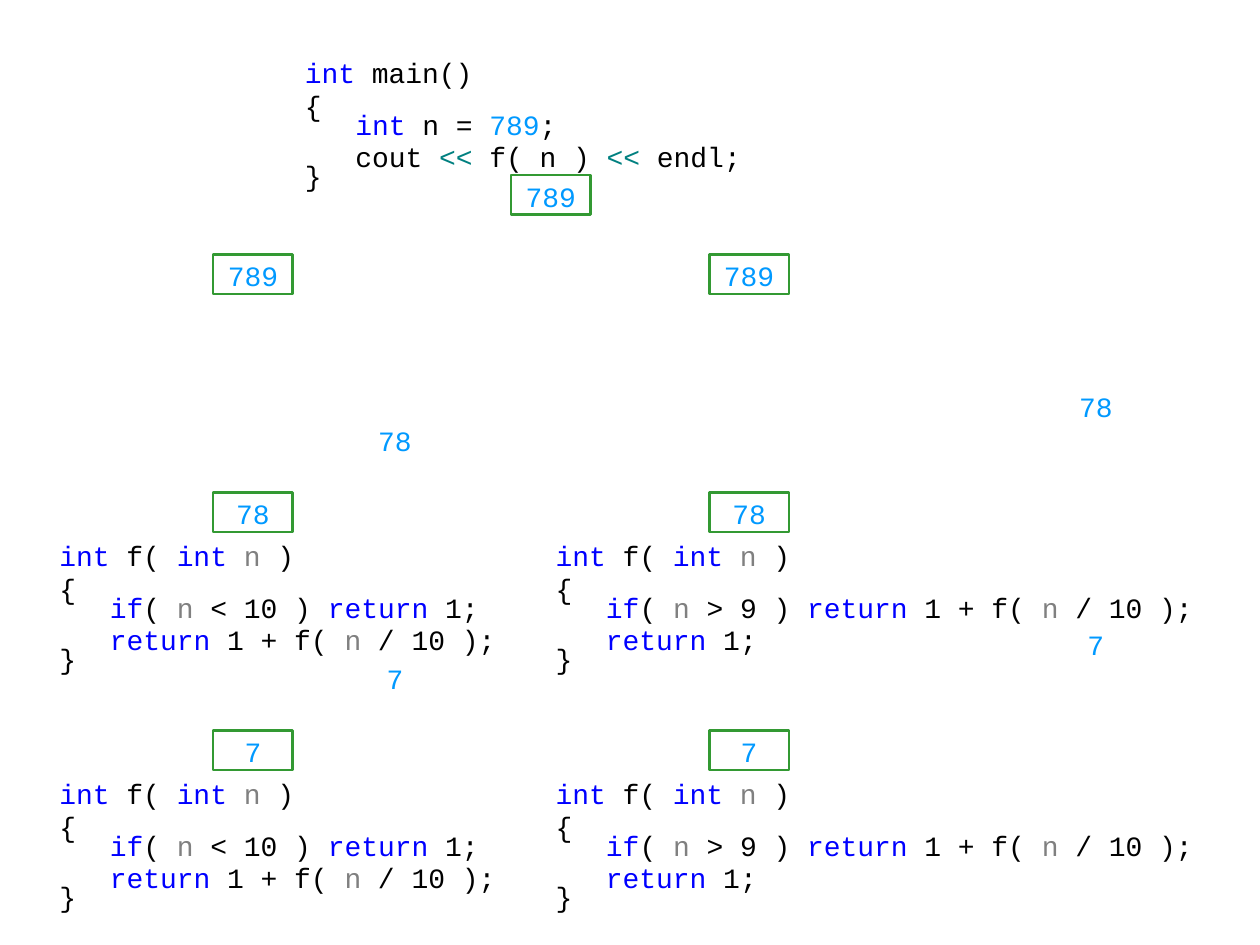
from lxml import etree
from pptx import Presentation
from pptx import util as u
from pptx.dml.color import RGBColor
from pptx.enum import shapes, text
from pptx.oxml import ns

COLORS = {"plain": "000000", "keyword": "0000FF", "number": "0099FF",
          "operator": "008080", "parameter": "808080",
          "frame": "339933", "blank": "FFFFFF"}
TOKENS = {"int": "keyword", "if": "keyword", "return": "keyword",
          "789": "number", "<<": "operator", "n": "parameter"}

MAIN = ["int| main()", "{", "int| n = |789|;",
        "cout |<<| f( n ) |<<| endl;", "}"]
SIGNATURE = ["int| f( |int |n| )", "{"]
BASE_FIRST = SIGNATURE + ["if|( |n| < 10 ) |return| 1;",
                          "return| 1 + f( |n| / 10 );", "}"]
STEP_FIRST = SIGNATURE + ["if|( |n| > 9 ) |return| 1 + f( |n| / 10 );",
                          "return| 1;", "}"]


class CodeSlide:
    font_name = "Courier New"
    font_size = u.Pt(16)
    code_indent = u.Pt(28.8)
    code_height = 79
    box_height = 22.5

    def __init__(self, slide):
        self.slide = slide

    def color(self, name):
        return RGBColor.from_string(COLORS[name])

    def set_font(self, paragraph):
        paragraph.font.name = self.font_name
        paragraph.font.size = self.font_size

    def set_insets(self, frame, insets):
        (frame.margin_left, frame.margin_top,
         frame.margin_right, frame.margin_bottom) = map(u.Pt, insets)

    def code(self, left, top, width, lines, insets=(3, 3.6, 3, 3.6)):
        listing = self.slide.shapes.add_textbox(
            u.Pt(left), u.Pt(top), u.Pt(width), u.Pt(self.code_height))
        frame = listing.text_frame
        frame.word_wrap = True
        self.set_insets(frame, insets)
        for number, line in enumerate(lines):
            paragraph = frame.paragraphs[0] if number == 0 else frame.add_paragraph()
            self.set_font(paragraph)
            if number in (2, 4):
                paragraph.line_spacing = 0.5
            if number in (2, 3):
                paragraph._p.get_or_add_pPr().set("marL", str(self.code_indent))
            for token in line.split("|"):
                run = paragraph.add_run()
                run.text = token
                run.font.color.rgb = self.color(TOKENS.get(token.strip(), "plain"))

    def value(self, left, top, number, width=45.5, line="frame",
              insets=(7.2, 1.4, 7.2, 0)):
        box = self.slide.shapes.add_shape(
            shapes.MSO_SHAPE.RECTANGLE,
            u.Pt(left), u.Pt(top), u.Pt(width), u.Pt(self.box_height))
        box.shadow.inherit = False
        box.fill.background()
        box.line.color.rgb = self.color(line)
        box.line.width = u.Pt(1.5)
        frame = box.text_frame
        frame.word_wrap = False
        frame.vertical_anchor = text.MSO_ANCHOR.MIDDLE
        self.set_insets(frame, insets)
        paragraph = frame.paragraphs[0]
        paragraph.text = str(number)
        paragraph.alignment = text.PP_ALIGN.CENTER
        before = etree.SubElement(paragraph._p.get_or_add_pPr(), ns.qn("a:spcBef"))
        etree.SubElement(before, ns.qn("a:spcPct")).set("val", "50000")
        self.set_font(paragraph)
        paragraph.font.color.rgb = self.color("number")

    def argument(self, left, top, number, insets):
        self.value(left, top, number, 34, "blank", insets)


def main():
    deck = Presentation()
    deck.slide_width, deck.slide_height = u.Pt(720), u.Pt(540)
    page = CodeSlide(deck.slides.add_slide(deck.slide_layouts[6]))

    page.code(167.2, 31.6, 272, MAIN, (7.2, 0, 7.2, 3.6))
    page.value(292, 100, 789)

    call_top, call_pitch = 145.5, 136
    versions = [
        (31, 261, BASE_FIRST, 212.2, 102, (0, 0, 7.2, 14.4)),
        (314.5, 374.5, STEP_FIRST, 609.2, 79.5, (7.2, 0, 7.2, 8.6)),
    ]
    for left, width, lines, argument_left, argument_drop, insets in versions:
        for depth, number in enumerate((789, 78, 7)):
            top = call_top + depth * call_pitch
            page.value(left + 90.8, top, number)
            if depth:
                page.code(left, top + page.box_height, width, lines)
                page.argument(argument_left, top - call_pitch + argument_drop,
                              number, insets)

    deck.save("out.pptx")


if __name__ == "__main__":
    main()
